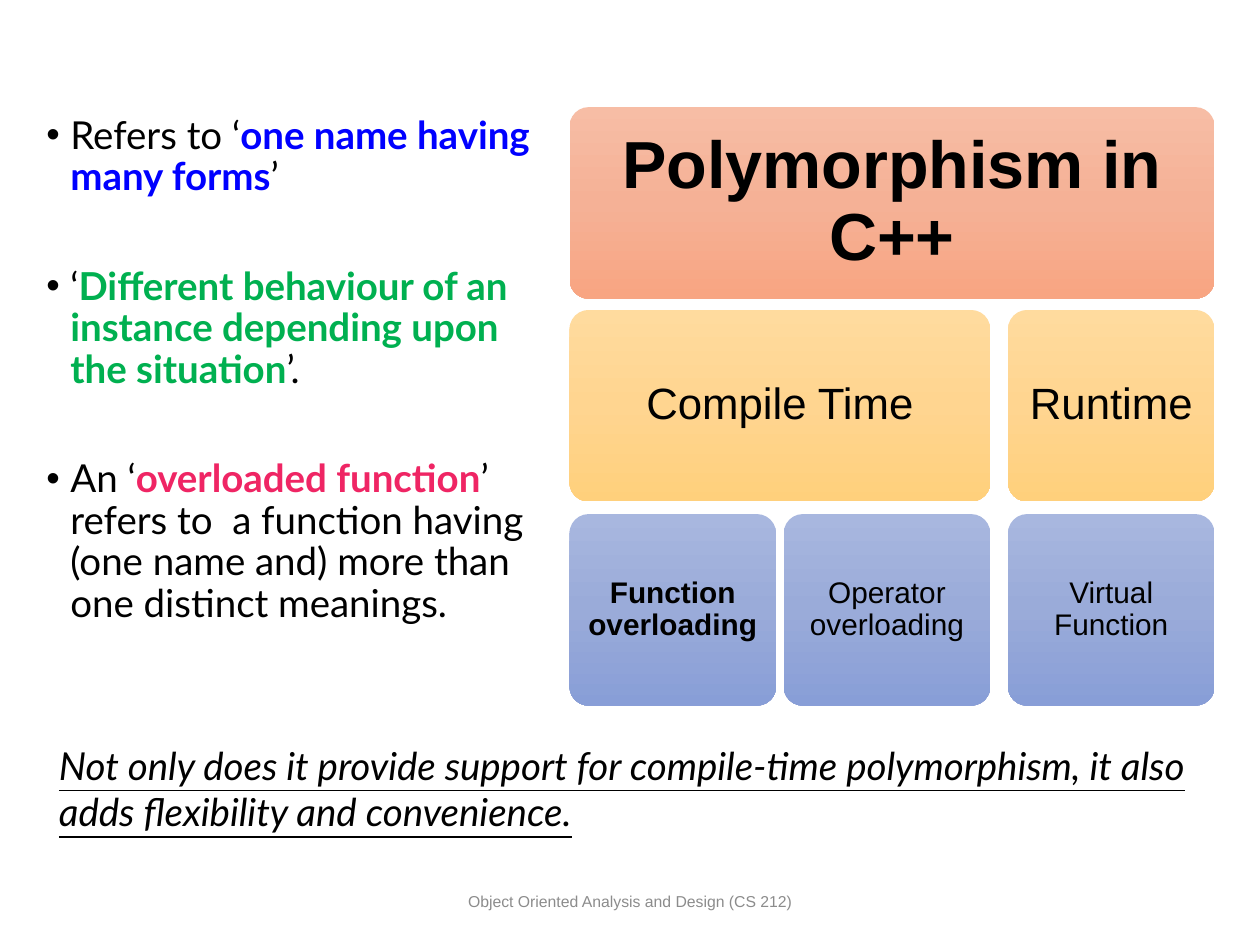
"""Build a slide that explains polymorphism with a tree of tiles."""
from copy import deepcopy

from lxml import etree
from pptx import Presentation
from pptx import util as u
from pptx.dml import color
from pptx.enum import shapes, text
from pptx.oxml import ns

COLORS = {
    "black": "000000", "blue": "0000FF", "green": "00B050",
    "pink": "EF2564", "grey": "8C8C8C",
}
GRADIENTS = {
    "root": ("F7BDA5", "F5B196", "F8A582"),
    "kind": ("FFDB9E", "FFD590", "FFD07C"),
    "example": ("A8B7DF", "9AABD9", "889ED7"),
}
COLUMN_LEFTS = (4.52, 6.22, 8.0)
ROW_TOPS = (0.85, 2.46, 4.08)
TILE_WIDTH, TILE_HEIGHT = 1.64, 1.52
LEVELS = (
    {"gradient": "root", "size": 38, "inset": 0.16},
    {"gradient": "kind", "size": 25, "inset": 0.1},
    {"gradient": "example", "size": 17, "inset": 0.07},
)
TILES = (
    (0, 0, 2, "Polymorphism in C++", True),
    (1, 0, 1, "Compile Time", False),
    (2, 0, 0, "Function overloading", True),
    (2, 1, 1, "Operator overloading", False),
    (1, 2, 2, "Runtime", False),
    (2, 2, 2, "Virtual Function", False),
)
BULLETS = (
    (7.5, ("Refers to ‘", "one name having many forms", "’"), "blue"),
    (38.8, ("‘", "Different behaviour of an instance depending upon the situation", "’."), "green"),
    (38.8, ("An ‘", "overloaded function",
            "’ refers to  a function having (one name and) more than one distinct meanings."), "pink"),
)


def set_values(target, values):
    """Set every attribute named in a dict of format values."""
    for name, value in values.items():
        setattr(target, name, value)


def add_run(paragraph, wording, font, size, color_name="black", **styles):
    """Add one formatted run of text."""
    run = paragraph.add_run()
    run.text = wording
    set_values(run.font, {"name": font, "size": u.Pt(size), **styles})
    run.font.color.rgb = color.RGBColor.from_string(COLORS[color_name])


def add_text_box(slide, left, top, width, height, **frame_values):
    """Add a wrapping text box and return its text frame."""
    box = slide.shapes.add_textbox(*map(u.Inches, (left, top, width, height)))
    set_values(box.text_frame, {"word_wrap": True, **frame_values})
    return box.text_frame


def add_bullet(paragraph, space_before, parts, accent):
    """Fill a bulleted paragraph whose middle part is highlighted."""
    set_values(paragraph, {"line_spacing": 0.9, "space_before": u.Pt(space_before)})
    properties = paragraph._p.get_or_add_pPr()
    properties.set("marL", str(u.Inches(0.19)))
    properties.set("indent", str(u.Inches(-0.19)))
    etree.SubElement(properties, ns.qn("a:buFont")).set("typeface", "Arial")
    etree.SubElement(properties, ns.qn("a:buChar")).set("char", "•")
    for wording, name, bold in zip(parts, ("black", accent, "black"), (False, True, False)):
        add_run(paragraph, wording, "Lato", 22, name, bold=bold)


def fill_gradient(shape, hex_colors):
    """Fill a shape with an even top-to-bottom gradient."""
    shape.fill.gradient()
    shape.fill.gradient_angle = 270
    stop_list = shape.element.spPr.find(".//" + ns.qn("a:gsLst"))
    stop_list.insert(1, deepcopy(stop_list[0]))
    for index, (stop, value) in enumerate(zip(shape.fill.gradient_stops, hex_colors)):
        stop.position = index / 2
        stop.color.rgb = color.RGBColor.from_string(value)


def add_tile(slide, row, first, last, wording, bold):
    """Add a rounded tile that spans grid columns first to last."""
    level = LEVELS[row]
    left = COLUMN_LEFTS[first]
    width = COLUMN_LEFTS[last] + TILE_WIDTH - left
    bounds = (left, ROW_TOPS[row], width, TILE_HEIGHT)
    tile = slide.shapes.add_shape(
        shapes.MSO_SHAPE.ROUNDED_RECTANGLE, *map(u.Inches, bounds))
    tile.adjustments[0] = 0.1
    tile.shadow.inherit = False
    tile.line.fill.background()
    fill_gradient(tile, GRADIENTS[level["gradient"]])
    margins = {f"margin_{side}": u.Inches(level["inset"])
               for side in ("left", "right", "top", "bottom")}
    set_values(tile.text_frame, {
        "word_wrap": True, "vertical_anchor": text.MSO_ANCHOR.MIDDLE, **margins})
    paragraph = tile.text_frame.paragraphs[0]
    set_values(paragraph, {"alignment": text.PP_ALIGN.CENTER, "line_spacing": 0.9})
    add_run(paragraph, wording, "Arial", level["size"], bold=bold)


def main():
    """Create the presentation and save it."""
    presentation = Presentation()
    set_values(presentation, {"slide_width": u.Inches(10), "slide_height": u.Inches(7.5)})
    slide = presentation.slides.add_slide(presentation.slide_layouts[6])

    body = add_text_box(slide, 0.27, 0.87, 4.25, 4.76)
    for index, bullet in enumerate(BULLETS):
        paragraph = body.add_paragraph() if index else body.paragraphs[0]
        add_bullet(paragraph, *bullet)

    for tile in TILES:
        add_tile(slide, *tile)

    summary = add_text_box(slide, 0.37, 5.84, 9.27, 0.84,
                           auto_size=text.MSO_AUTO_SIZE.SHAPE_TO_FIT_TEXT)
    add_run(summary.paragraphs[0],
            "Not only does it provide support for compile-time polymorphism, "
            "it also adds flexibility and convenience.",
            "Lato", 22, italic=True, underline=True)

    footer = add_text_box(slide, 3.31, 6.95, 3.38, 0.4,
                          vertical_anchor=text.MSO_ANCHOR.MIDDLE)
    footer.paragraphs[0].alignment = text.PP_ALIGN.CENTER
    add_run(footer.paragraphs[0], "Object Oriented Analysis and Design (CS 212)",
            "Arial", 9, "grey")
    presentation.save("out.pptx")


main()
